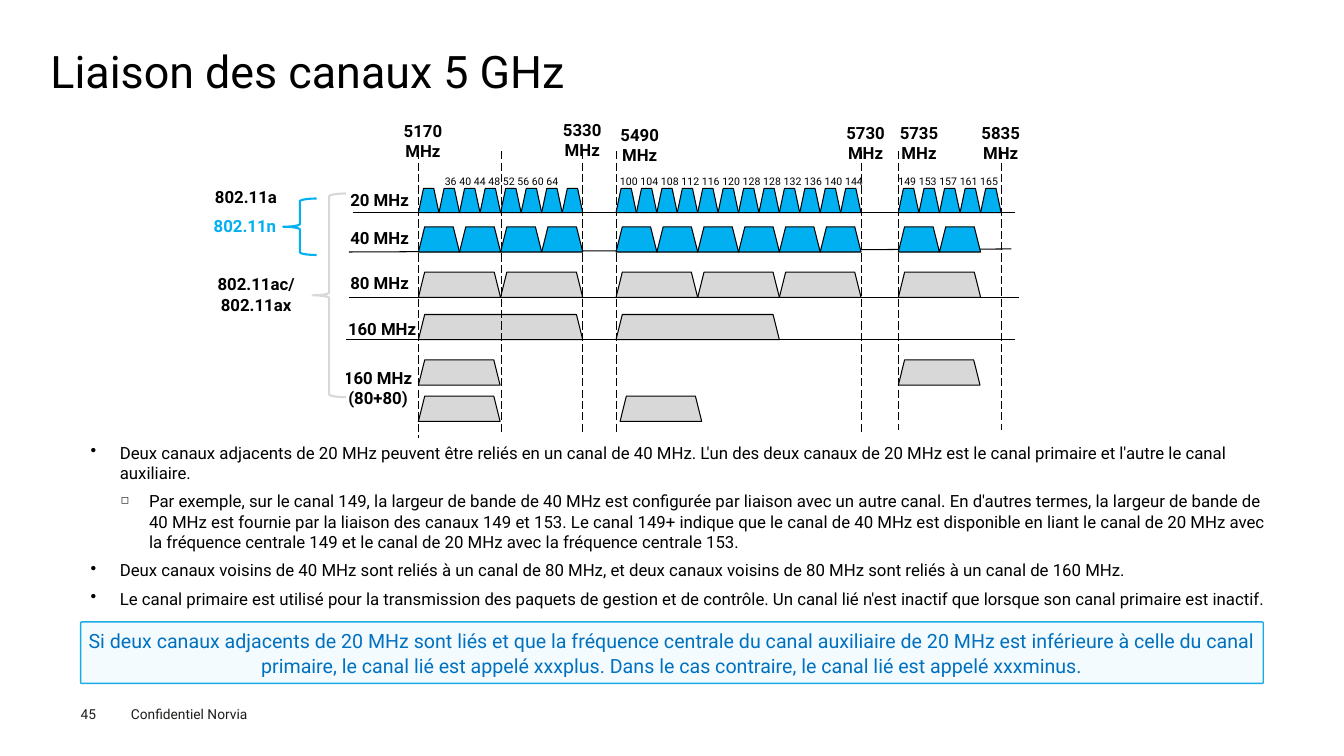
from lxml import etree
from pptx import Presentation
from pptx.dml.color import RGBColor
from pptx.enum.dml import MSO_LINE as Dash
from pptx.enum.shapes import MSO_CONNECTOR as Conn, MSO_SHAPE as Shape
from pptx.enum.text import MSO_ANCHOR as Anchor, PP_ALIGN as Align
from pptx.oxml.ns import qn
from pptx.util import Inches, Pt

FONT = "Roboto"
COLORS = {
    "black": "000000", "white": "FFFFFF", "ink": "1D1D1B", "sky": "00B0F0",
    "gray": "D8D8D8", "pale": "F3FBFE", "edge": "1AABE2", "blue": "0070C0",
}

# left, width, number of 20 MHz channels
BANDS = [(2.2, 1.63, 8), (4.16, 2.43, 12), (6.96, 1.02, 5)]
# label, its left, top and width; channel top, height, span, color; axis x1, x2, y1, y2
ROWS = [
    ("20 MHz", 1.39, 0.68, 0.85, 0.72, 0.24, 1, "sky", 1.55, 8.12, 0.96, 0.96),
    ("40 MHz", 1.39, 1.06, 0.85, 1.1, 0.25, 2, "sky", 1.51, 8.08, 1.35, 1.32),
    ("80 MHz", 1.39, 1.51, 0.85, 1.55, 0.25, 4, "gray", 1.51, 8.16, 1.8, 1.8),
    ("160 MHz", 1.35, 1.96, 0.98, 1.97, 0.25, 8, "gray", 1.47, 8.12, 2.22, 2.22),
]
PAIRS = [(2.2, 2.42), (6.96, 2.42), (2.2, 2.78), (4.2, 2.78)]
# x, bottom
EDGES = [(2.2, 3.2), (3.02, 3.15), (3.83, 3.15), (4.16, 3.15),
         (6.59, 3.15), (6.96, 3.12), (7.98, 3.12)]
FREQS = [("5170", 1.82, 0), ("5330", 3.4, -0.01), ("5490", 3.97, 0.04),
         ("5730", 6.21, 0.02), ("5735", 6.74, 0.02), ("5835", 7.55, 0.02)]
NUMBERS = [
    ("36 40 44 48 52 56 60 64", 2.09, 1.87),
    ("100 104 108 112 116 120 128 128 132 136 140 144", 4.04, 2.73),
    ("149 153 157 161 165", 6.83, 1.25),
]
NORMS = [("802.11a", 0.01, 0.65, 0.96, 0.31, "black"),
         ("802.11n", 0, 0.94, 0.96, 0.31, "sky"),
         ("802.11ac/802.11ax", 0.05, 1.52, 1.08, 0.51, "black")]
BRACES = [(1.15, 0.77, 2.02, "gray"), (0.86, 0.82, 0.56, "sky")]

POINTS = [
    (0, "Deux canaux adjacents de 20 MHz peuvent être reliés en un canal de 40 MHz. L'un des deux canaux de 20 MHz est le canal primaire et l'autre le canal auxiliaire."),
    (1, "Par exemple, sur le canal 149, la largeur de bande de 40 MHz est configurée par liaison avec un autre canal. En d'autres termes, la largeur de bande de 40 MHz est fournie par la liaison des canaux 149 et 153. Le canal 149+ indique que le canal de 40 MHz est disponible en liant le canal de 20 MHz avec la fréquence centrale 149 et le canal de 20 MHz avec la fréquence centrale 153."),
    (0, "Deux canaux voisins de 40 MHz sont reliés à un canal de 80 MHz, et deux canaux voisins de 80 MHz sont reliés à un canal de 160 MHz."),
    (0, "Le canal primaire est utilisé pour la transmission des paquets de gestion et de contrôle. Un canal lié n'est inactif que lorsque son canal primaire est inactif."),
]
# left margin, indent, bullet, bullet size in percent
LEVELS = [(0.29, -0.29, "•", 100), (0.58, -0.28, "◻", 60)]
NOTE = "Si deux canaux adjacents de 20 MHz sont liés et que la fréquence centrale du canal auxiliaire de 20 MHz est inférieure à celle du canal primaire, le canal lié est appelé xxxplus. Dans le cas contraire, le canal lié est appelé xxxminus."


def rgb(name):
    return RGBColor.from_string(COLORS[name])


def style(para, size, color="black", bold=False):
    font = para.font
    font.name, font.size, font.bold = FONT, Pt(size), bold
    font.color.rgb = rgb(color)


def pad(frame, side):
    frame.margin_left = frame.margin_right = Inches(side)
    frame.margin_top = frame.margin_bottom = 0


def add_text(slide, box, lines, size, color="black", bold=False, align=None, wrap=True):
    frame = slide.shapes.add_textbox(*map(Inches, box)).text_frame
    frame.word_wrap = wrap
    frame.text = lines
    for para in frame.paragraphs:
        para.alignment = align
        style(para, size, color, bold)
    return frame


def add_label(slide, box, lines, color="black"):
    add_text(slide, box, lines, 12, color, True, Align.CENTER)


def add_form(slide, kind, box, fill, line, width):
    form = slide.shapes.add_shape(kind, *map(Inches, box))
    form.shadow.inherit = False
    form.fill.solid()
    form.fill.fore_color.rgb = rgb(fill)
    form.line.color.rgb = rgb(line)
    form.line.width = Pt(width)
    return form


def add_block(slide, box, fill):
    add_form(slide, Shape.TRAPEZOID, box, fill, "black", 0.75)


def add_line(slide, start, end, dash=None):
    line = slide.shapes.add_connector(Conn.STRAIGHT, *map(Inches, start + end))
    line.line.color.rgb = rgb("black")
    line.line.width = Pt(0.75)
    line.line.dash_style = dash
    etree.SubElement(line._element.spPr, qn("a:effectLst"))


def add_title(slide, box):
    frame = add_text(slide, box, "Liaison des canaux 5 GHz", 32)
    pad(frame, 0)
    frame.paragraphs[0].line_spacing = 0.9


def add_plan(slide, x, y):
    """Draw the channel plan with its top left corner at x, y."""
    for label, lx, ly, lw, top, high, span, fill, x1, x2, y1, y2 in ROWS:
        add_line(slide, (x + x1, y + y1), (x + x2, y + y2))
        for left, width, count in BANDS:
            wide = width / count * span
            for i in range(count // span):
                add_block(slide, (x + left + i * wide, y + top, wide, high), fill)
        add_label(slide, (x + lx, y + ly, lw, 0.31), label)
    for left, top in PAIRS:
        add_block(slide, (x + left, y + top, 0.81, 0.25), "gray")
    add_label(slide, (x + 1.31, y + 2.45, 0.98, 0.51), "160 MHz\n(80+80)")
    for left, low in EDGES:
        add_line(slide, (x + left, y + 0.35), (x + left, y + low), Dash.LONG_DASH)
    for text, left, width in NUMBERS:
        add_text(slide, (x + left, y + 0.54, width, 0.24), text, 7.5,
                 align=Align.CENTER, wrap=False)
    for freq, left, top in FREQS:
        add_label(slide, (x + left, y + top, 0.85, 0.51), freq + "\nMHz")
    for left, top, high, color in BRACES:
        add_form(slide, Shape.LEFT_BRACE, (x + left, y + top, 0.33, high),
                 "white", color, 1.5)
    for text, left, top, wide, high, color in NORMS:
        add_label(slide, (x + left, y + top, wide, high), text, color)


def add_points(slide, box):
    frame = add_text(slide, box, "\n".join(text for _, text in POINTS), 12)
    for para, (level, _) in zip(frame.paragraphs, POINTS):
        left, indent, mark, size = LEVELS[level]
        para.level = level
        para.space_after = Pt(6)
        props = para._p.get_or_add_pPr()
        props.set("marL", str(Inches(left)))
        props.set("indent", str(Inches(indent)))
        bullet = etree.Element(qn("a:buChar"), char=mark)
        scale = etree.Element(qn("a:buSzPct"), val=str(size * 1000))
        run = props.find(qn("a:defRPr"))
        run.addprevious(scale)
        run.addprevious(bullet)


def add_note(slide, box):
    form = add_form(slide, Shape.ROUNDED_RECTANGLE, box, "pale", "edge", 1)
    form.adjustments[0] = 0.02
    frame = form.text_frame
    frame.word_wrap = True
    frame.vertical_anchor = Anchor.MIDDLE
    pad(frame, 0.04)
    frame.text = NOTE
    para = frame.paragraphs[0]
    para.alignment = Align.CENTER
    para.line_spacing = Pt(18)
    style(para, 14, "blue")


def add_footer(slide, x, y):
    pad(add_text(slide, (x, y + 0.05, 0.55, 0.16), "45", 9.8, "ink"), 0)
    add_text(slide, (x + 0.4, y, 1.6, 0.27), "Confidentiel Norvia", 9.8, "ink")


def main():
    deck = Presentation()
    deck.slide_width, deck.slide_height = Inches(13.33), Inches(7.5)
    slide = deck.slides.add_slide(deck.slide_layouts[6])
    add_title(slide, (0.5, 0.49, 12.35, 0.54))
    add_plan(slide, 1.95, 1.15)
    add_points(slide, (0.8, 4.34, 11.89, 1.77))
    add_note(slide, (0.8, 6.17, 11.73, 0.61))
    add_footer(slide, 0.8, 6.95)
    deck.save("out.pptx")


if __name__ == "__main__":
    main()
